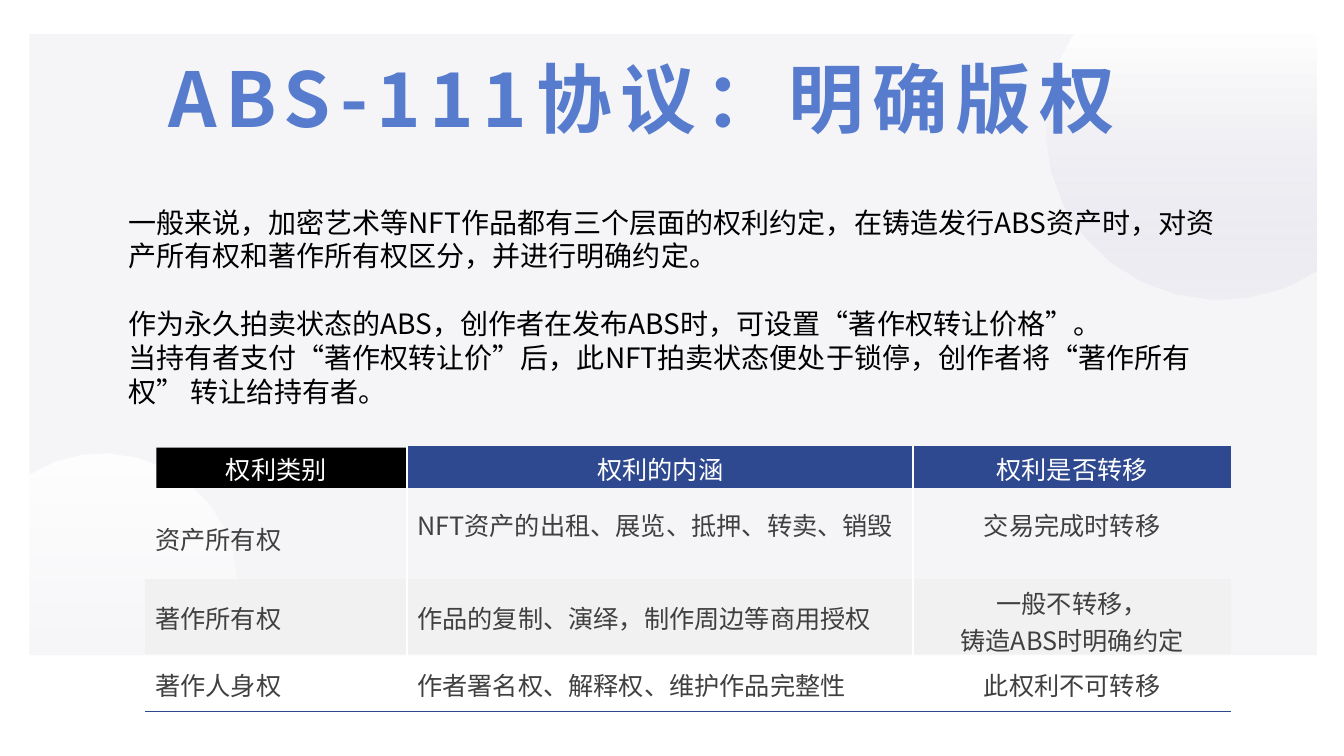
import math
import pptx
import pptx.util
import pptx.dml.color
import pptx.enum.shapes
import pptx.enum.text
import pptx.oxml
import pptx.oxml.ns
from dataclasses import dataclass


@dataclass(frozen=True)
class Theme:
    font: str = "Noto Sans CJK JP"
    white: str = "FFFFFF"
    black: str = "000000"
    panel: str = "F5F5F8"
    lilac: str = "D8D8E4"
    rule: str = "213A71"
    title: str = "577CCE"
    header: str = "2E498F"
    band: str = "F1F1F1"
    cell_text: str = "404040"
    title_size: int = 54
    body_size: int = 20
    cell_size: int = 18


theme = Theme()
color = pptx.dml.color.RGBColor.from_string
qn = pptx.oxml.ns.qn
Pt, Inches = pptx.util.Pt, pptx.util.Inches
ALIGN = pptx.enum.text.PP_ALIGN

presentation = pptx.Presentation()
presentation.slide_width = Inches(13.33)
presentation.slide_height = Inches(7.5)
slide = presentation.slides.add_slide(presentation.slide_layouts[5])
shapes = slide.shapes


def box(*percents):
    """Turn x, y, x, y ... percentages of the slide into lengths."""
    sides = (presentation.slide_width, presentation.slide_height)
    return [round(sides[i % 2] * p / 100) for i, p in enumerate(percents)]


def style_text(paragraph, size, text_color):
    for run in paragraph.runs:
        run.font.size = Pt(size)
        run.font.color.rgb = color(text_color)
        run.font.name = theme.font
        east_asian = pptx.oxml.parse_xml(
            f'<a:ea {pptx.oxml.ns.nsdecls("a")} typeface="{theme.font}"/>')
        run._r.get_or_add_rPr().append(east_asian)


# Panel, faint rule and the black plate behind the first header
plates = [
    ((2.18, 4.53, 95.8, 82.13), theme.panel, 100),
    ((11.7, 59.2, 43.35, 0.13), theme.rule, 14),
    ((11.63, 59.2, 18.98, 5.33), theme.black, 100),
]
# Circles cut off by a panel corner:
# centre, radii, first and last degree of the arc, corner, lower colour, opacity
circles = [
    ((90.75, 16.93), (12.98, 22.67), (56.3, 213.2), (97.98, 4.53), theme.lilac, 24),
    ((7.65, 77.33), (9.98, 17.33), (236.7, 393.1), (2.18, 86.66), theme.white, 10),
]
arc_steps = 13
painted = []
for area, fill_color, opacity in plates:
    plate = shapes.add_shape(pptx.enum.shapes.MSO_SHAPE.RECTANGLE, *box(*area))
    plate.fill.solid()
    plate.fill.fore_color.rgb = color(fill_color)
    painted.append((plate, opacity))

for center, radii, (first, last), corner, fill_color, opacity in circles:
    arc = []
    for step in range(arc_steps + 1):
        angle = math.radians(first + (last - first) * step / arc_steps)
        arc.append(tuple(box(center[0] + radii[0] * math.cos(angle),
                             center[1] + radii[1] * math.sin(angle))))
    builder = shapes.build_freeform(*box(*corner))
    builder.add_line_segments(arc, close=True)
    circle = builder.convert_to_shape()
    circle.fill.gradient()
    circle.fill.gradient_angle = 270
    for stop, stop_color in zip(circle.fill.gradient_stops, (theme.white, fill_color)):
        stop.color.rgb = color(stop_color)
    painted.append((circle, opacity))

for shape, opacity in painted:
    shape.line.fill.background()
    shape.shadow.inherit = False
    if opacity < 100:
        last_color = shape._element.spPr.findall(".//" + qn("a:srgbClr"))[-1]
        last_color.append(pptx.oxml.parse_xml(
            f'<a:alpha {pptx.oxml.ns.nsdecls("a")} val="{opacity * 1000}"/>'))
# The black plate lies above the circles
shapes._spTree.append(painted[2][0]._element)

# Rights table: the top left cell covers the header and the first row
columns = [19.5, 37.65, 23.63]
rows = [5.6, 12.13, 9.87, 7.6]
top_insets = [0.05, 0.18, 0.2, 0.12]
contents = [
    ["权利类别\n资产所有权", "权利的内涵", "权利是否转移"],
    ["", "NFT资产的出租、展览、抵押、转卖、销毁", "交易完成时转移"],
    ["著作所有权", "作品的复制、演绎，制作周边等商用授权", "一般不转移，\n铸造ABS时明确约定"],
    ["著作人身权", "作者署名权、解释权、维护作品完整性", "此权利不可转移"],
]
frame = shapes.add_table(len(rows), len(columns),
                         *box(10.8, 58.93, sum(columns), sum(rows)))
table = frame.table
table.first_row = table.horz_banding = False
plain_style = "{2D5ABB26-0587-4C30-8999-92F81FD0307C}"
table._tbl.tblPr.find(qn("a:tableStyleId")).text = plain_style
for column, width in zip(table.columns, columns):
    column.width = box(width)[0]
for row, height in zip(table.rows, rows):
    row.height = box(0, height)[1]
table.cell(0, 0).merge(table.cell(1, 0))

for r, texts in enumerate(contents):
    for c, text in enumerate(texts):
        cell = table.cell(r, c)
        two_lines = "\n" in text
        cell.margin_left = cell.margin_right = 0
        cell.margin_top = Inches(0.05 if two_lines else top_insets[r])
        # A negative inset keeps two-line cells from stretching their rows
        cell.margin_bottom = Inches((-0.22 if c == 0 else -0.06) if two_lines else 0)

        # White lines between columns, blue line under the last row
        borders = [("lnL", theme.white, c > 0), ("lnR", theme.white, c < 2),
                   ("lnB", theme.header, r == 3)]
        for tag, line_color, shown in borders:
            if shown:
                cell._tc.get_or_add_tcPr().append(pptx.oxml.parse_xml(
                    f'<a:{tag} {pptx.oxml.ns.nsdecls("a")} w="{Pt(1.5)}"><a:solidFill>'
                    f'<a:srgbClr val="{line_color}"/></a:solidFill></a:{tag}>'))

        fill_color = theme.header if r == 0 and c > 0 else theme.band if r == 2 else None
        if fill_color:
            cell.fill.solid()
            cell.fill.fore_color.rgb = color(fill_color)
        else:
            cell.fill.background()

        if not text:
            continue
        cell.text_frame.text = text
        for i, paragraph in enumerate(cell.text_frame.paragraphs):
            is_header = r == 0 and i == 0
            style_text(paragraph, theme.cell_size,
                       theme.white if is_header else theme.cell_text)
            if c == 2 or (is_header and c == 1):
                paragraph.alignment = ALIGN.CENTER
            else:
                indent = Inches(0.8 if is_header else 0.1)
                paragraph._p.get_or_add_pPr().set("marL", str(indent))
            if c == 0 and i == 1:
                paragraph.space_before = Pt(23.5)

# Explanation
body = shapes.add_textbox(*box(9.53, 26.8, 83.4, 27.47)).text_frame
body.word_wrap = True
body.margin_left, body.margin_right = 0, Inches(0.15)
body.margin_top, body.margin_bottom = Inches(0.03), 0
body.text = (
    "一般来说，加密艺术等NFT作品都有三个层面的权利约定，在铸造发行ABS资产时，"
    "对资 产所有权和著作所有权区分，并进行明确约定。\n"
    "作为永久拍卖状态的ABS，创作者在发布ABS时，可设置“著作权转让价格”。\n"
    "当持有者支付“著作权转让价”后，此NFT拍卖状态便处于锁停，"
    "创作者将“著作所有权” 转让给持有者。")
for paragraph, space in zip(body.paragraphs, (0, 24.7, 0.3)):
    paragraph.line_spacing = Pt(23.9)
    paragraph.space_before = Pt(space)
    style_text(paragraph, theme.body_size, theme.black)

# Title, in front of the panel
title = shapes.title
title.left, title.top, title.width, title.height = box(11.78, 3.33, 76.35, 15.6)
shapes._spTree.append(title._element)
title.text_frame.text = "ABS-111协议：明确版权"
title.text_frame.vertical_anchor = pptx.enum.text.MSO_ANCHOR.BOTTOM
title.text_frame.margin_bottom = 0
heading = title.text_frame.paragraphs[0]
heading.alignment = ALIGN.LEFT
style_text(heading, theme.title_size, theme.title)
heading.runs[0].font.bold = True
heading.runs[0]._r.get_or_add_rPr().set("spc", "600")

presentation.save("out.pptx")
